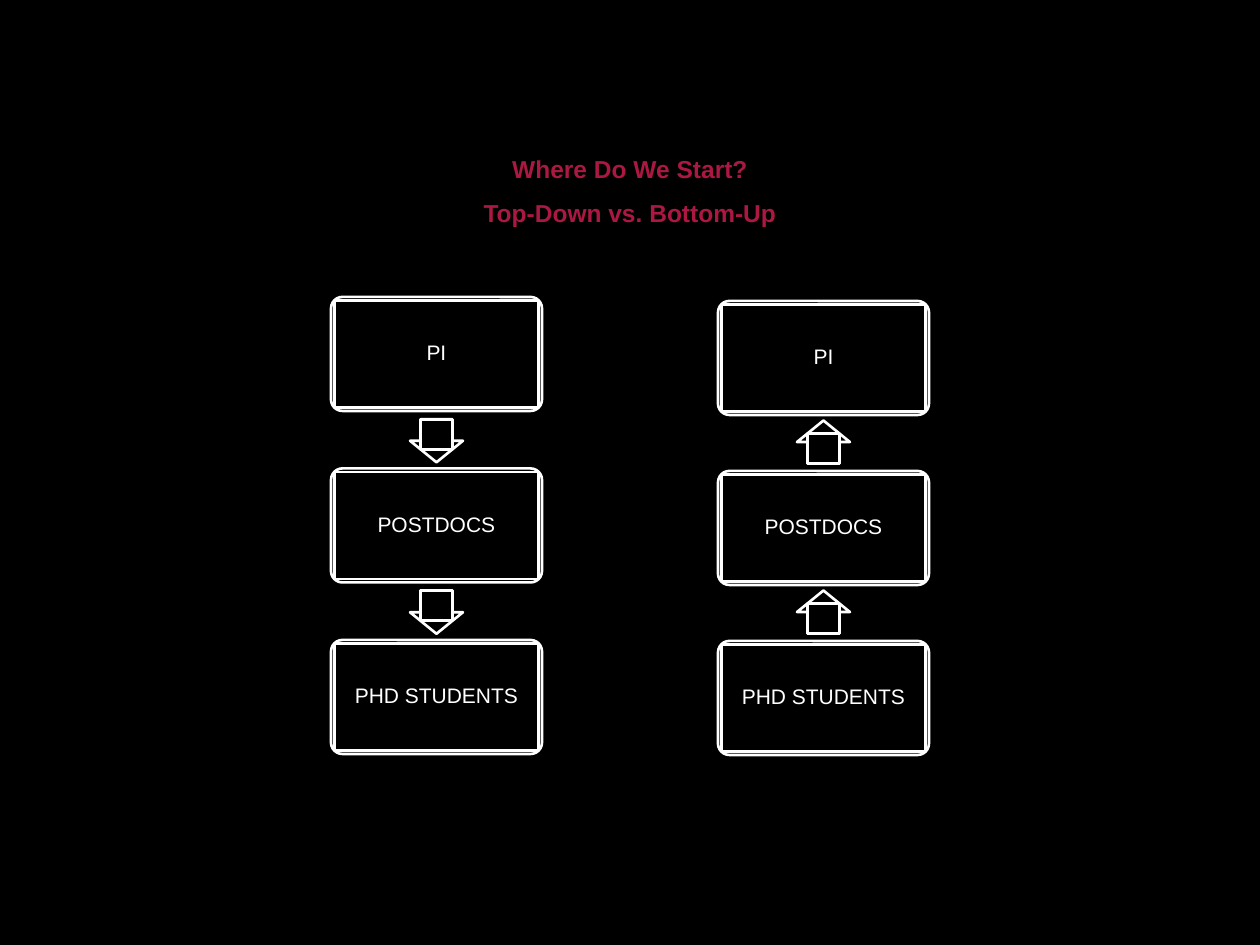
import dataclasses

import lxml.etree
import pptx
import pptx.dml.color
import pptx.enum.shapes
import pptx.enum.text
import pptx.oxml.ns
import pptx.util

SHAPE = pptx.enum.shapes.MSO_SHAPE
CENTER = pptx.enum.text.PP_ALIGN.CENTER
SCALE = 914400 / 126


@dataclasses.dataclass(frozen=True)
class Theme:
    font: str = "Arial"
    background: str = "000000"
    outline: str = "FFFFFF"
    heading: str = "AB1842"
    heading_size: int = 14
    card_size: int = 12
    line_width: float = 1.5
    line_spacing: float = 0.9


THEME = Theme()
HEADINGS = ["Where Do We Start?", "Top-Down vs. Bottom-Up"]
ROLES = ["PI", "POSTDOCS", "PHD STUDENTS"]
CARD_HEIGHT = 114
SLAB_WIDTH, SLAB_HEIGHT = 204, 107
ARROW_WIDTH, ARROW_LENGTH = 53, 43
STEM_WIDTH, STEM_HEIGHT = 32, 30


def px(length):
    return pptx.util.Emu(round(length * SCALE))


def color(code):
    return pptx.dml.color.RGBColor.from_string(code)


def format_para(para, size, code, bold=False):
    para.alignment = CENTER
    para.line_spacing = THEME.line_spacing
    for span in para.runs:
        span.font.name = THEME.font
        span.font.size = pptx.util.Pt(size)
        span.font.bold = bold
        span.font.color.rgb = color(code)


def add_outlined(group, kind, center_x, center_y, width, height):
    shape = group.shapes.add_shape(
        kind,
        px(center_x - width / 2),
        px(center_y - height / 2),
        px(width),
        px(height),
    )
    shape.shadow.inherit = False
    shape.fill.solid()
    shape.fill.fore_color.rgb = color(THEME.background)
    shape.line.color.rgb = color(THEME.outline)
    shape.line.width = pptx.util.Pt(THEME.line_width)
    return shape


def add_heading(page, left, top, width, height):
    body = page.placeholders[1]
    body.left, body.top, body.width, body.height = map(px, (left, top, width, height))
    frame = body.text_frame
    frame.text = "\n".join(HEADINGS)
    for index, para in enumerate(frame.paragraphs):
        properties = para._p.get_or_add_pPr()
        properties.set("marL", "0")
        properties.set("indent", "0")
        lxml.etree.SubElement(properties, pptx.oxml.ns.qn("a:buNone"))
        para.space_before = pptx.util.Pt(10 if index else 0)
        format_para(para, THEME.heading_size, THEME.heading, bold=True)


def add_card(group, center_x, center_y, width, role):
    card = add_outlined(
        group, SHAPE.ROUNDED_RECTANGLE, center_x, center_y, width, CARD_HEIGHT
    )
    card.adjustments[0] = 0.1
    slab = add_outlined(
        group, SHAPE.RECTANGLE, center_x, center_y, SLAB_WIDTH, SLAB_HEIGHT
    )
    frame = slab.text_frame
    frame.text = role
    frame.word_wrap = True
    frame.vertical_anchor = pptx.enum.text.MSO_ANCHOR.MIDDLE
    frame.margin_left = frame.margin_right = px(9)
    frame.margin_top = frame.margin_bottom = px(9)
    format_para(frame.paragraphs[0], THEME.card_size, THEME.outline)


def add_arrow(group, center_x, center_y, direction):
    arrow = add_outlined(
        group, SHAPE.RIGHT_ARROW, center_x, center_y, ARROW_LENGTH, ARROW_WIDTH
    )
    arrow.rotation = 90 if direction > 0 else 270
    arrow.adjustments[0], arrow.adjustments[1] = 0.6, 0.5
    stem_y = center_y - direction * (ARROW_LENGTH - STEM_HEIGHT) / 2
    add_outlined(group, SHAPE.RECTANGLE, center_x, stem_y, STEM_WIDTH, STEM_HEIGHT)


def add_flow(page, left, top, width, height, direction):
    group = page.shapes.add_group_shape()
    center_x = left + width / 2
    step = (height - CARD_HEIGHT) / (len(ROLES) - 1)
    for index, role in enumerate(ROLES):
        center_y = top + CARD_HEIGHT / 2 + index * step
        add_card(group, center_x, center_y, width, role)
        if index < len(ROLES) - 1:
            add_arrow(group, center_x, center_y + step / 2 + direction, direction)


def main():
    deck = pptx.Presentation()
    deck.slide_width, deck.slide_height = px(1260), px(945)
    page = deck.slides.add_slide(deck.slide_layouts[1])
    page.background.fill.solid()
    page.background.fill.fore_color.rgb = color(THEME.background)
    title = page.shapes.title._element
    title.getparent().remove(title)
    add_heading(page, 87, 151, 1086, 600)
    add_flow(page, 331, 297, 211, 457, direction=1)
    add_flow(page, 718, 301, 211, 454, direction=-1)
    deck.save("out.pptx")


if __name__ == "__main__":
    main()
